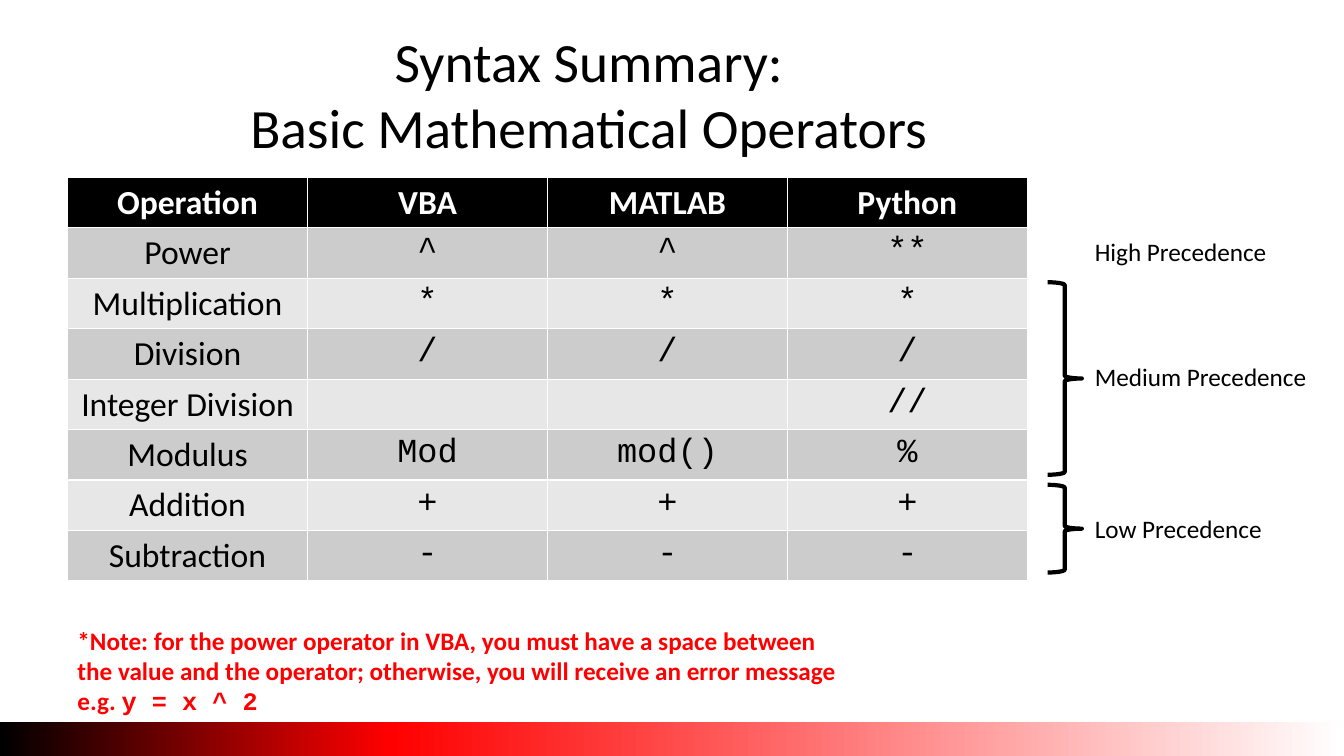
import copy

import pptx
import pptx.dml.color
import pptx.enum.shapes
import pptx.enum.text
import pptx.oxml.ns
import pptx.util

Inches = pptx.util.Inches
Shape = pptx.enum.shapes.MSO_SHAPE
Align = pptx.enum.text.PP_ALIGN
Anchor = pptx.enum.text.MSO_ANCHOR

THEME = {
    "black": "000000", "white": "FFFFFF", "red": "FF0000",
    "bands": ("CCCCCC", "E7E7E7"),
    "body": "Calibri", "code": "Courier New",
    "title_size": 39.6, "table_size": 24, "note_size": 18,
}
WIDTH, HEIGHT = 13.33, 7.5
LEFT, TABLE_TOP = 0.67, 1.76
COLUMN, ROW = 2.38, 0.5
BRACE_LEFT, BRACE_WIDTH = 10.39, 0.34
LABEL_LEFT, LABEL_HEIGHT = 10.76, 0.4
FOOTER_TOP = 7.16


def rgb(value):
    return pptx.dml.color.RGBColor.from_string(value)


def write(para, text, size, font=THEME["body"], color=THEME["black"], bold=False, align=None):
    """Append text to a paragraph; a newline becomes a line break."""
    if align is not None:
        para.alignment = align
    for index, line in enumerate(text.split("\n")):
        if index:
            para.add_line_break()
        span = para.add_run()
        span.text = line
        span.font.size = pptx.util.Pt(size)
        span.font.name = font
        span.font.bold = bold
        span.font.color.rgb = rgb(color)


deck = pptx.Presentation()
deck.slide_width, deck.slide_height = Inches(WIDTH), Inches(HEIGHT)
page = deck.slides.add_slide(deck.slide_layouts[6])

# Footer band fading from black through red to white
footer = page.shapes.add_shape(
    Shape.RECTANGLE, 0, Inches(FOOTER_TOP), deck.slide_width, Inches(HEIGHT - FOOTER_TOP))
footer.shadow.inherit = False
footer.line.fill.background()
footer.fill.gradient()
footer.fill.gradient_angle = 0
stop_list = next(footer._element.iter(pptx.oxml.ns.qn("a:gsLst")))
stop_list.insert(1, copy.deepcopy(stop_list[0]))
fade = [(0, "black"), (0.29, "red"), (1, "white")]
for stop, (position, name) in zip(footer.fill.gradient_stops, fade):
    stop.position = position
    stop.color.rgb = rgb(THEME[name])

# Title
title = page.shapes.add_textbox(Inches(LEFT), Inches(0.3), Inches(10.34), Inches(1.25)).text_frame
title.word_wrap = True
title.vertical_anchor = Anchor.MIDDLE
write(title.paragraphs[0], "Syntax Summary:\nBasic Mathematical Operators",
      THEME["title_size"], align=Align.CENTER)

# Operator table
operators = [
    ("Operation", "VBA", "MATLAB", "Python"),
    ("Power", "^", "^", "**"),
    ("Multiplication", "*", "*", "*"),
    ("Division", "/", "/", "/"),
    ("Integer Division", "", "", "//"),
    ("Modulus", "Mod", "mod()", "%"),
    ("Addition", "+", "+", "+"),
    ("Subtraction", "-", "-", "-"),
]
row_count, column_count = len(operators), len(operators[0])
table = page.shapes.add_table(
    row_count, column_count, Inches(LEFT), Inches(TABLE_TOP),
    Inches(COLUMN * column_count), Inches(ROW * row_count)).table
for row, entries in enumerate(operators):
    header = row == 0
    for column, entry in enumerate(entries):
        cell = table.cell(row, column)
        cell.fill.solid()
        cell.fill.fore_color.rgb = rgb(THEME["black"] if header else THEME["bands"][(row - 1) % 2])
        if entry:
            write(cell.text_frame.paragraphs[0], entry, THEME["table_size"],
                  font=THEME["body"] if header or column == 0 else THEME["code"],
                  color=THEME["white"] if header else THEME["black"],
                  bold=header, align=Align.CENTER)

# Precedence labels beside the rows they cover
for text, top, width in [("High Precedence", 2.3, 1.93),
                         ("Medium Precedence", 3.54, 2.33),
                         ("Low Precedence", 5.04, 1.88)]:
    label = page.shapes.add_textbox(
        Inches(LABEL_LEFT), Inches(top), Inches(width), Inches(LABEL_HEIGHT)).text_frame
    label.word_wrap = False
    write(label.paragraphs[0], text, THEME["note_size"])

for top, height in [(2.8, 1.91), (4.81, 0.87)]:
    brace = page.shapes.add_shape(
        Shape.RIGHT_BRACE, Inches(BRACE_LEFT), Inches(top), Inches(BRACE_WIDTH), Inches(height))
    brace.shadow.inherit = False
    brace.fill.background()
    brace.line.color.rgb = rgb(THEME["black"])
    brace.line.width = pptx.util.Pt(3)

# Note on the power operator
note = page.shapes.add_textbox(Inches(LEFT), Inches(6.15), Inches(7.86), Inches(1.01)).text_frame
note.word_wrap = True
warning = {"size": THEME["note_size"], "color": THEME["red"], "bold": True}
write(note.paragraphs[0],
      "*Note: for the power operator in VBA, you must have a space between the value "
      "and the operator; otherwise, you will receive an error message", **warning)
example = note.add_paragraph()
write(example, "e.g. ", **warning)
write(example, "y = x ^ 2", font=THEME["code"], **warning)

deck.save("out.pptx")
